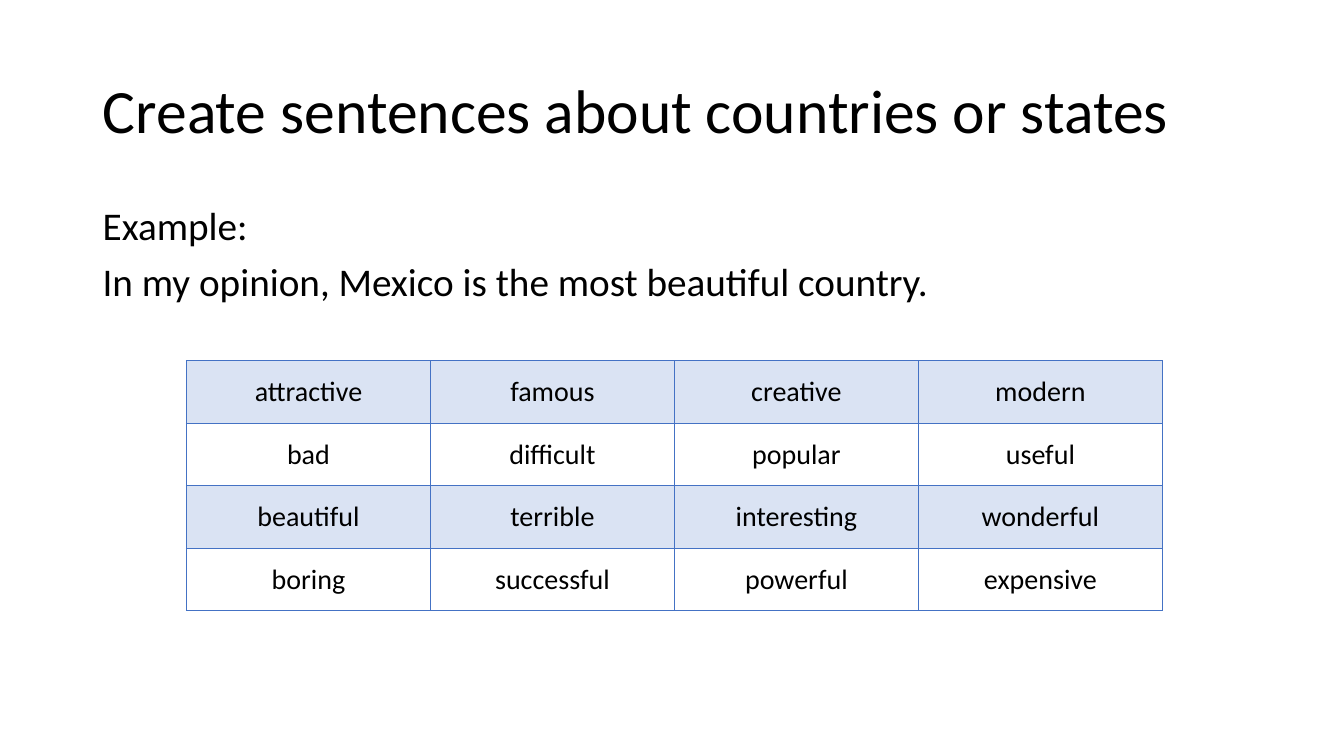
from dataclasses import dataclass

from lxml.etree import SubElement
from pptx import Presentation
from pptx.dml.color import RGBColor
from pptx.enum.text import MSO_ANCHOR as Anchor, PP_ALIGN as Align
from pptx.oxml.ns import qn
from pptx.slide import Slide
from pptx.table import _Cell as Cell
from pptx.text.text import _Paragraph as Paragraph
from pptx.util import Inches, Pt

FONT = "Calibri"
BLACK = "000000"
BORDER = "4472C4"
BAND = "DAE3F3"
COLUMN_WIDTH = 2.42
ROW_HEIGHT = 0.62

ADJECTIVES = [
    ["attractive", "famous", "creative", "modern"],
    ["bad", "difficult", "popular", "useful"],
    ["beautiful", "terrible", "interesting", "wonderful"],
    ["boring", "successful", "powerful", "expensive"],
]


@dataclass(frozen=True)
class Box:
    left: float
    top: float
    width: float
    height: float

    def lengths(self) -> tuple:
        return tuple(Inches(n) for n in (self.left, self.top, self.width, self.height))


def color(value: str) -> RGBColor:
    return RGBColor.from_string(value)


def add_text(paragraph: Paragraph, text: str, size: float) -> None:
    run = paragraph.add_run()
    run.text = text
    run.font.name = FONT
    run.font.size = Pt(size)
    run.font.color.rgb = color(BLACK)


def add_title(slide: Slide, box: Box, text: str) -> None:
    title = slide.shapes.title
    title.left, title.top, title.width, title.height = box.lengths()
    frame = title.text_frame
    frame.word_wrap = True
    frame.vertical_anchor = Anchor.MIDDLE
    paragraph = frame.paragraphs[0]
    paragraph.alignment = Align.LEFT
    paragraph.line_spacing = 0.9
    add_text(paragraph, text, 44)


def add_example(slide: Slide, box: Box, lines: list[str]) -> None:
    frame = slide.shapes.add_textbox(*box.lengths()).text_frame
    frame.word_wrap = True
    for index, line in enumerate(lines):
        paragraph = frame.add_paragraph() if index else frame.paragraphs[0]
        paragraph.line_spacing = 0.9
        paragraph.space_before = Pt(10 if index else 0)
        add_text(paragraph, line, 28)


def add_borders(cell: Cell) -> None:
    properties = cell._tc.get_or_add_tcPr()
    for side in ("a:lnL", "a:lnR", "a:lnT", "a:lnB"):
        line = SubElement(properties, qn(side), w=str(Pt(1)))
        fill = SubElement(line, qn("a:solidFill"))
        SubElement(fill, qn("a:srgbClr"), val=BORDER)


def format_cell(cell: Cell, word: str, banded: bool) -> None:
    add_borders(cell)
    if banded:
        cell.fill.solid()
        cell.fill.fore_color.rgb = color(BAND)
    else:
        cell.fill.background()
    cell.vertical_anchor = Anchor.MIDDLE
    paragraph = cell.text_frame.paragraphs[0]
    paragraph.alignment = Align.CENTER
    add_text(paragraph, word, 20)


def add_word_table(slide: Slide, left: float, top: float, words: list[list[str]]) -> None:
    rows, columns = len(words), len(words[0])
    box = Box(left, top, columns * COLUMN_WIDTH, rows * ROW_HEIGHT)
    table = slide.shapes.add_table(rows, columns, *box.lengths()).table
    table.first_row = False
    table.horz_banding = False
    for row, row_words in enumerate(words):
        for column, word in enumerate(row_words):
            format_cell(table.cell(row, column), word, row % 2 == 0)


def main() -> None:
    presentation = Presentation()
    presentation.slide_width = Inches(13.33)
    presentation.slide_height = Inches(7.5)
    slide = presentation.slides.add_slide(presentation.slide_layouts[5])
    add_title(slide, Box(0.92, 0.4, 11.5, 1.45), "Create sentences about countries or states")
    add_example(
        slide,
        Box(0.92, 2, 11.5, 4.76),
        ["Example:", "In my opinion, Mexico is the most beautiful country."],
    )
    add_word_table(slide, 1.85, 3.58, ADJECTIVES)
    presentation.save("out.pptx")


if __name__ == "__main__":
    main()
